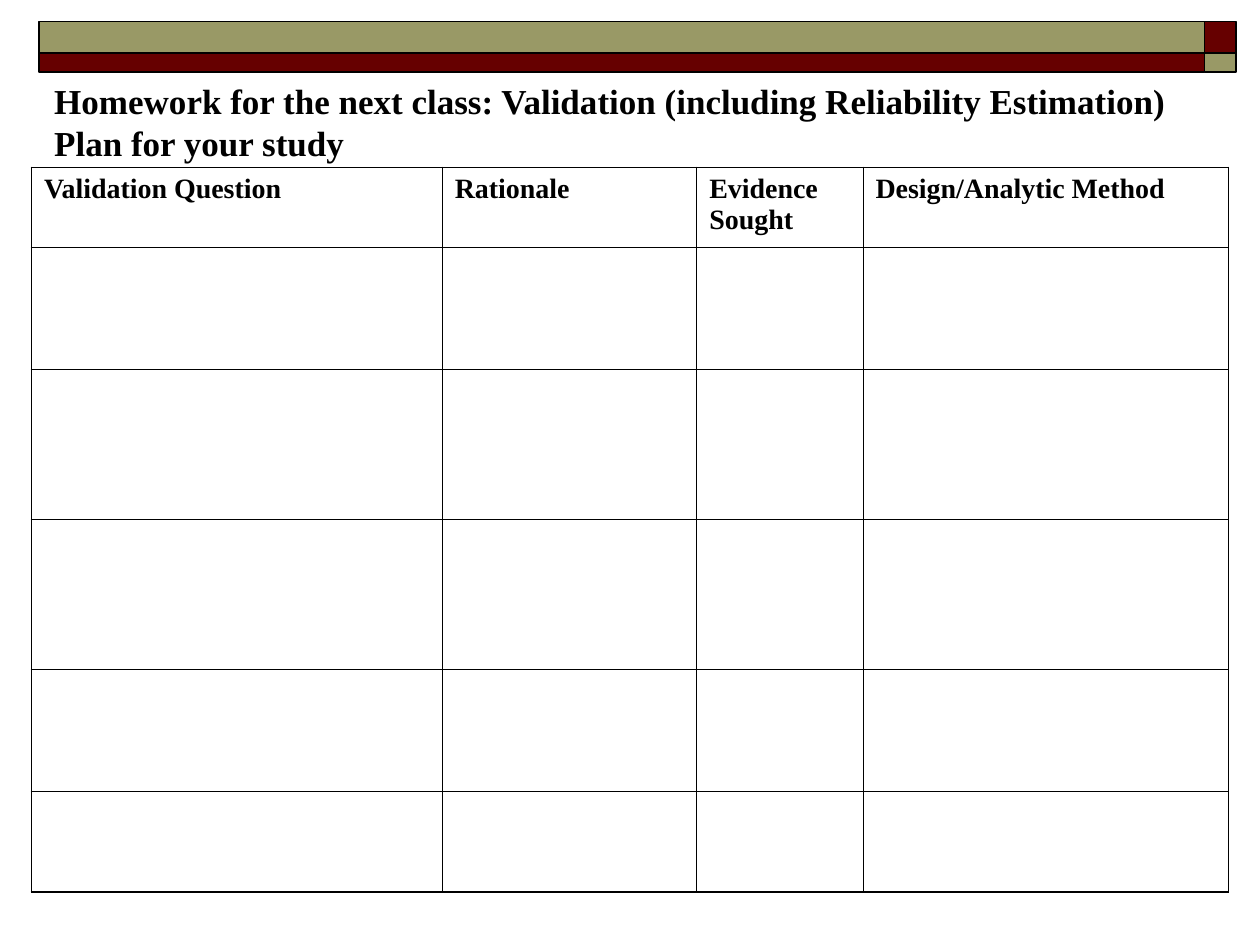
import pptx
import pptx.util
import pptx.dml.color
import pptx.enum.shapes
import pptx.enum.text
import pptx.oxml
import pptx.oxml.ns
from pptx.util import Pt

TITLE = ("Homework for the next class: Validation (including Reliability "
         "Estimation) Plan for your study")
# heading, column width
COLUMNS = [
    ("Validation Question", 234.72),
    ("Rationale", 145.44),
    ("Evidence Sought", 95.04),
    ("Design/Analytic Method", 208.8),
]
ROW_HEIGHTS = [45.36, 69.84, 85.68, 85.68, 69.84, 57.6]
TABLE_LEFT, TABLE_TOP = 18, 95.76
TITLE_BOX = (23.76, 41.76, 684, 55.44)
BAND_LEFT, BAND_TOP = 22.32, 12.24
BAND_WIDTHS = [666, 18]
BAND_HEIGHTS = [18, 10.8]

THEME = {
    "font": "Times New Roman",
    "title_size": 20,
    "heading_size": 16,
    "ink": "000000",
    "paper": "FFFFFF",
    "bands": ["999966", "660000"],
    "band_line": 1,
    "outer_border": 1.08,
    "inner_border": 0.45,
}


def rgb(value):
    return pptx.dml.color.RGBColor.from_string(value)


def write(frame, text, *, size, bold=True, color=THEME["ink"]):
    paragraph = frame.paragraphs[0]
    paragraph.alignment = pptx.enum.text.PP_ALIGN.LEFT
    paragraph.line_spacing = 1.0
    paragraph.space_before = Pt(0)
    run = paragraph.add_run()
    run.text = text
    run.font.name = THEME["font"]
    run.font.size = Pt(size)
    run.font.bold = bold
    run.font.color.rgb = rgb(color)


def add_bands(slide):
    """Two-by-two header strip whose colours alternate like a chequerboard."""
    top = BAND_TOP
    for row, height in enumerate(BAND_HEIGHTS):
        left = BAND_LEFT
        for column, width in enumerate(BAND_WIDTHS):
            band = slide.shapes.add_shape(
                pptx.enum.shapes.MSO_SHAPE.RECTANGLE,
                Pt(left), Pt(top), Pt(width), Pt(height))
            band.shadow.inherit = False
            band.fill.solid()
            band.fill.fore_color.rgb = rgb(THEME["bands"][(row + column) % 2])
            band.line.color.rgb = rgb(THEME["ink"])
            band.line.width = Pt(THEME["band_line"])
            left += width
        top += height


def add_borders(cell, outer_sides):
    properties = cell._tc.get_or_add_tcPr()
    for side in "LRTB":
        weight = THEME["outer_border" if side in outer_sides else "inner_border"]
        properties.append(pptx.oxml.parse_xml(
            f'<a:ln{side} {pptx.oxml.ns.nsdecls("a")} w="{int(Pt(weight))}">'
            f'<a:solidFill><a:srgbClr val="{THEME["ink"]}"/></a:solidFill>'
            f'</a:ln{side}>'))


def add_plan_table(slide):
    widths = [width for _, width in COLUMNS]
    table = slide.shapes.add_table(
        len(ROW_HEIGHTS), len(COLUMNS), Pt(TABLE_LEFT), Pt(TABLE_TOP),
        Pt(sum(widths)), Pt(sum(ROW_HEIGHTS))).table
    table.first_row = table.horz_banding = False
    for column, width in zip(table.columns, widths):
        column.width = Pt(width)
    last_row, last_column = len(ROW_HEIGHTS) - 1, len(COLUMNS) - 1
    for r, height in enumerate(ROW_HEIGHTS):
        table.rows[r].height = Pt(height)
        for c in range(len(COLUMNS)):
            cell = table.cell(r, c)
            edges = {"L": c == 0, "R": c == last_column,
                     "T": r == 0, "B": r == last_row}
            add_borders(cell, [side for side, outer in edges.items() if outer])
            cell.fill.solid()
            cell.fill.fore_color.rgb = rgb(THEME["paper"])
    for c, (heading, _) in enumerate(COLUMNS):
        write(table.cell(0, c).text_frame, heading, size=THEME["heading_size"])


def add_title(slide):
    title = slide.shapes.title
    title.left, title.top, title.width, title.height = map(Pt, TITLE_BOX)
    frame = title.text_frame
    frame.word_wrap = True
    frame.auto_size = pptx.enum.text.MSO_AUTO_SIZE.NONE
    frame.vertical_anchor = pptx.enum.text.MSO_ANCHOR.TOP
    write(frame, TITLE, size=THEME["title_size"])


def main():
    deck = pptx.Presentation()
    deck.slide_width, deck.slide_height = Pt(720), Pt(540)
    slide = deck.slides.add_slide(deck.slide_layouts.get_by_name("Title Only"))
    slide.background.fill.solid()
    slide.background.fill.fore_color.rgb = rgb(THEME["paper"])
    add_bands(slide)
    add_plan_table(slide)
    add_title(slide)
    deck.save("out.pptx")


if __name__ == "__main__":
    main()
